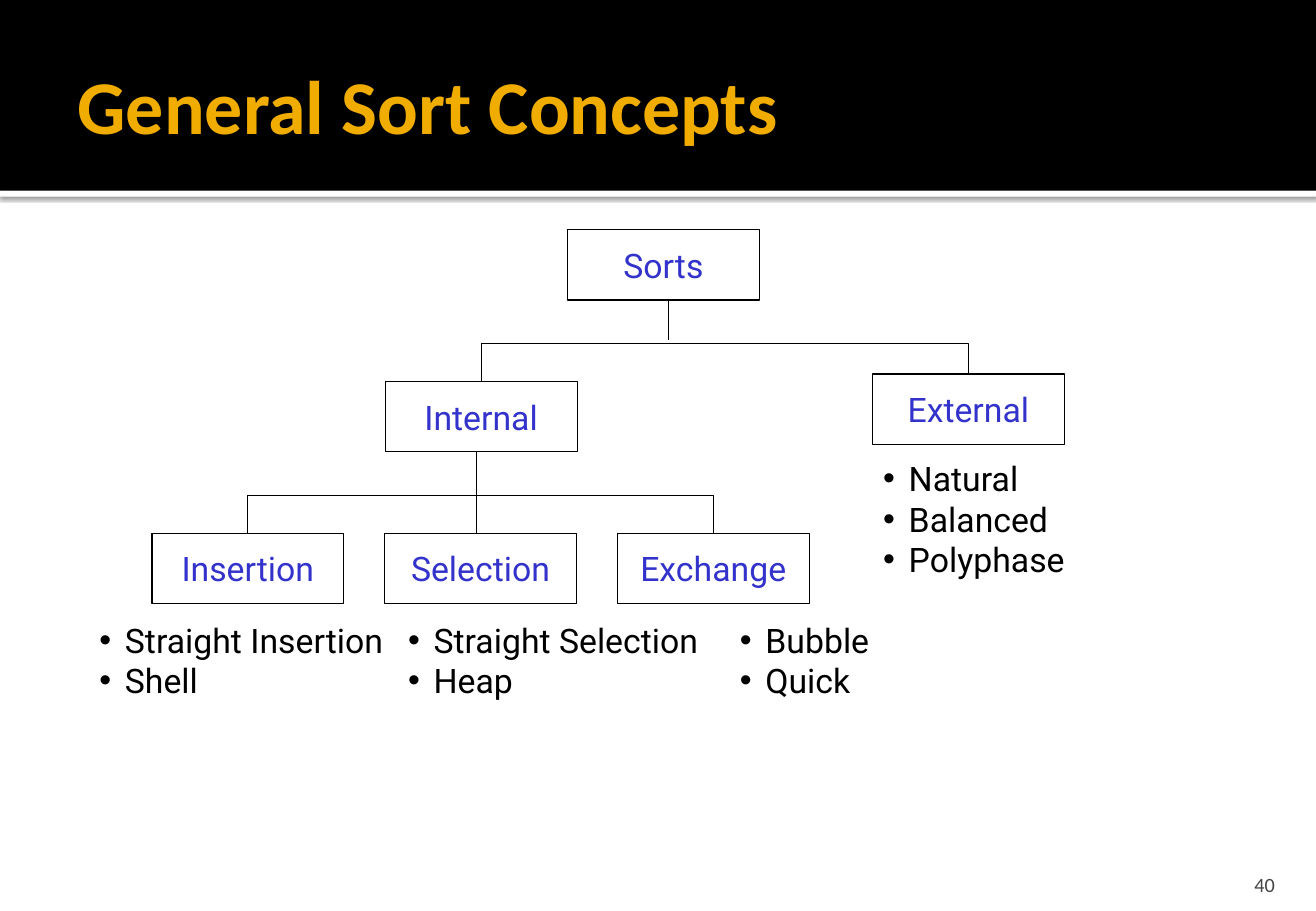
from lxml import etree
from pptx import Presentation
from pptx import util as u
from pptx.dml.color import RGBColor
from pptx.enum import shapes, text
from pptx.oxml import ns

BLACK = RGBColor(0, 0, 0)
WHITE = RGBColor(255, 255, 255)
GOLD = RGBColor(0xF0, 0xAD, 0x00)
BLUE = RGBColor(0x33, 0x33, 0xCC)
GRAY = RGBColor(0x45, 0x45, 0x45)
BOX_WIDTH, BOX_HEIGHT = 1.58, 0.58


class SortSlide:
    """Draws the elements of the sort tree in one consistent style."""

    def __init__(self, slide):
        self.slide = slide
        self.line_width = u.Pt(0.75)

    def outline(self, shape):
        shape.line.color.rgb = BLACK
        shape.line.width = self.line_width

    def format_text(self, paragraph, size, color, font="Roboto", bold=False):
        paragraph.font.size = u.Pt(size)
        paragraph.font.name = font
        paragraph.font.bold = bold
        paragraph.font.color.rgb = color

    def band(self, top, height, color):
        shape = self.slide.shapes.add_shape(
            shapes.MSO_SHAPE.RECTANGLE, 0, u.Inches(top), u.Inches(10.83), u.Inches(height))
        shape.shadow.inherit = False
        shape.fill.solid()
        shape.fill.fore_color.rgb = color
        shape.line.fill.background()
        return shape

    def cast_shadow(self, shape):
        effects = shape._element.spPr.find(ns.qn("a:effectLst"))
        shadow = etree.SubElement(
            effects, ns.qn("a:outerShdw"), blurRad=str(u.Pt(2.5)), dist=str(u.Pt(0.8)),
            dir="5400000", algn="t", rotWithShape="0")
        color = etree.SubElement(shadow, ns.qn("a:srgbClr"), val="000000")
        etree.SubElement(color, ns.qn("a:alpha"), val="60000")

    def text_box(self, left, top, width, height, content):
        shape = self.slide.shapes.add_textbox(*map(u.Inches, (left, top, width, height)))
        shape.text_frame.word_wrap = True
        shape.text_frame.text = content
        return shape.text_frame

    def title(self, content):
        frame = self.text_box(0.54, 0.17, 9.75, 1.37, content)
        frame.margin_right = u.Inches(0.05)
        frame.vertical_anchor = text.MSO_ANCHOR.MIDDLE
        self.format_text(frame.paragraphs[0], 45, GOLD, "Calibri", True)

    def page_number(self, content):
        frame = self.text_box(9.72, 7.08, 0.87, 0.3, content)
        frame.margin_bottom = 0
        frame.vertical_anchor = text.MSO_ANCHOR.BOTTOM
        frame.paragraphs[0].alignment = text.PP_ALIGN.RIGHT
        self.format_text(frame.paragraphs[0], 12, GRAY, "Calibri")

    def box(self, left, top, label):
        shape = self.slide.shapes.add_shape(
            shapes.MSO_SHAPE.RECTANGLE, *map(u.Inches, (left, top, BOX_WIDTH, BOX_HEIGHT)))
        shape.shadow.inherit = False
        shape.fill.background()
        self.outline(shape)
        frame = shape.text_frame
        frame.text = label
        frame.word_wrap = False
        frame.vertical_anchor = text.MSO_ANCHOR.MIDDLE
        frame.paragraphs[0].alignment = text.PP_ALIGN.CENTER
        self.format_text(frame.paragraphs[0], 20, BLUE)

    def bracket(self, left, left_bottom, right, right_bottom, top):
        builder = self.slide.shapes.build_freeform(u.Inches(left), u.Inches(left_bottom))
        corners = [(left, top), (right, top), (right, right_bottom)]
        builder.add_line_segments(
            [(u.Inches(x), u.Inches(y)) for x, y in corners], close=False)
        shape = builder.convert_to_shape()
        shape.shadow.inherit = False
        shape.fill.background()
        self.outline(shape)

    def stem(self, x, top, bottom):
        connector = self.slide.shapes.add_connector(
            shapes.MSO_CONNECTOR.STRAIGHT, *map(u.Inches, (x, top, x, bottom)))
        self.outline(connector)
        etree.SubElement(connector._element.spPr, ns.qn("a:effectLst"))

    def bullets(self, left, top, width, items):
        height = 0.1 + len(items) / 3
        frame = self.text_box(left, top, width, height, "\n".join(items))
        for paragraph in frame.paragraphs:
            properties = paragraph._p.get_or_add_pPr()
            properties.set("marL", str(u.Inches(0.21)))
            properties.set("indent", str(u.Inches(-0.21)))
            etree.SubElement(properties, ns.qn("a:buFont"), typeface="Arial")
            etree.SubElement(properties, ns.qn("a:buChar"), char="•")
            self.format_text(paragraph, 20, BLACK)


def main():
    presentation = Presentation()
    presentation.slide_width = u.Inches(10.83)
    presentation.slide_height = u.Inches(7.5)
    tree = SortSlide(presentation.slides.add_slide(presentation.slide_layouts[6]))

    tree.cast_shadow(tree.band(1.57, 0.05, WHITE))
    tree.band(0, 1.57, BLACK)
    tree.title("General Sort Concepts")
    tree.page_number("40")

    tree.box(4.67, 1.89, "Sorts")
    tree.box(3.17, 3.14, "Internal")
    tree.box(7.18, 3.08, "External")
    for column, label in enumerate(["Insertion", "Selection", "Exchange"]):
        tree.box(1.25 + 1.915 * column, 4.39, label)

    tree.bracket(3.96, 3.14, 7.97, 3.08, 2.83)
    tree.bracket(2.04, 4.39, 5.87, 4.39, 4.08)
    tree.stem(5.5, 2.47, 2.8)
    tree.stem(3.92, 3.72, 4.39)

    tree.bullets(0.72, 5.05, 2.76, ["Straight Insertion", "Shell"])
    tree.bullets(3.26, 5.05, 2.65, ["Straight Selection", "Heap"])
    tree.bullets(5.99, 5.05, 1.75, ["Bubble", "Quick"])
    tree.bullets(7.17, 3.72, 1.75, ["Natural", "Balanced", "Polyphase"])

    presentation.save("out.pptx")


if __name__ == "__main__":
    main()
